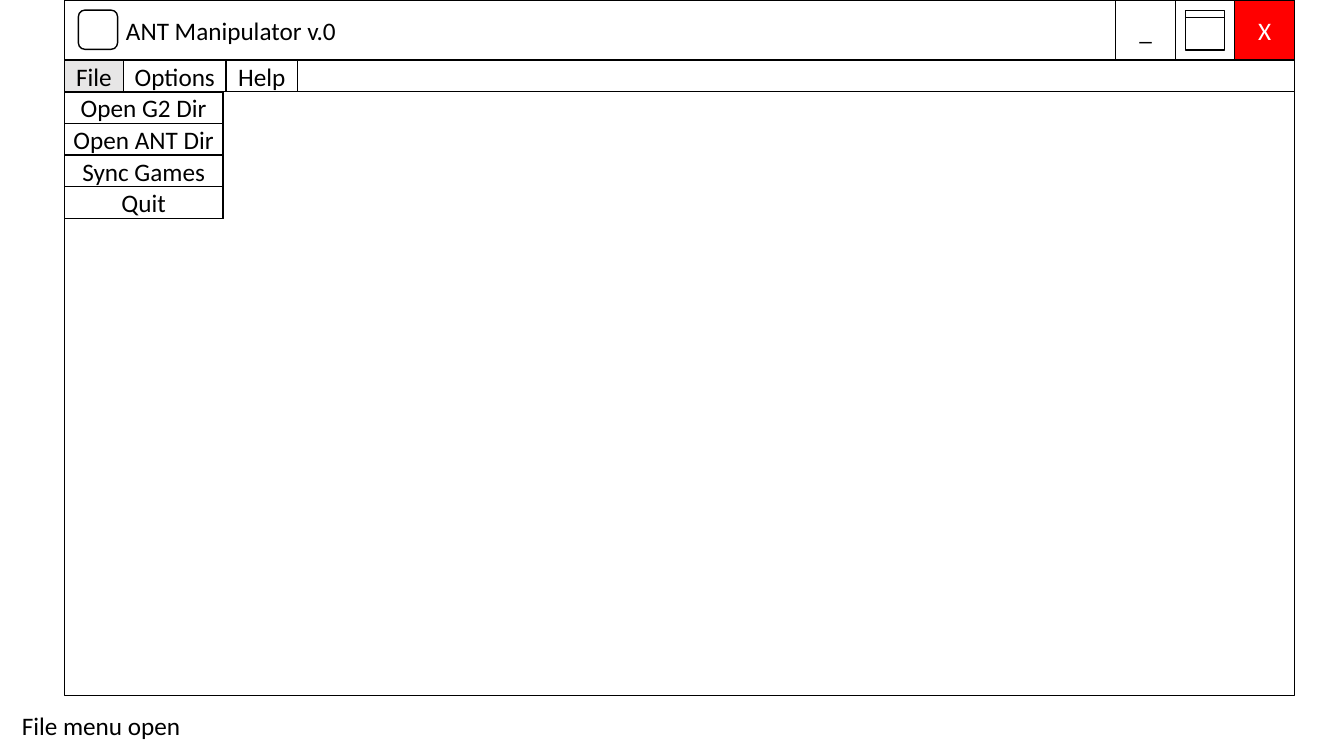
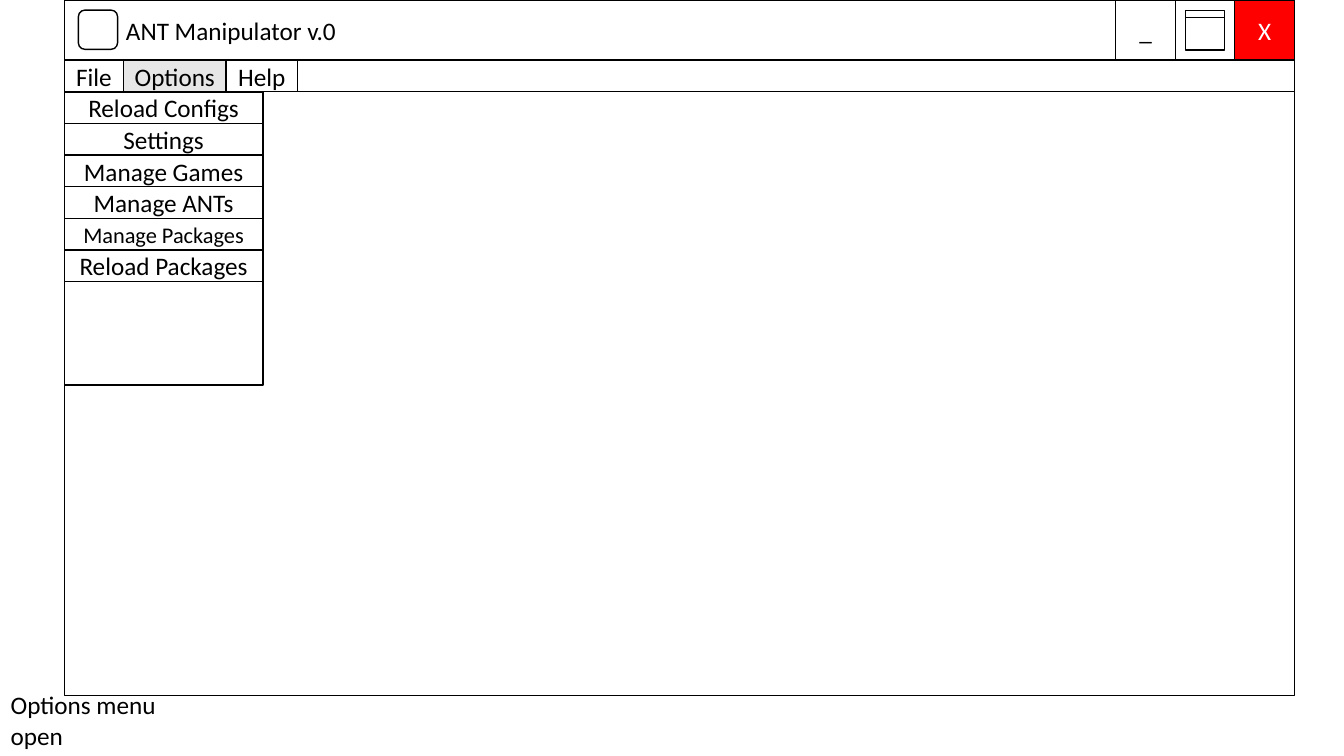
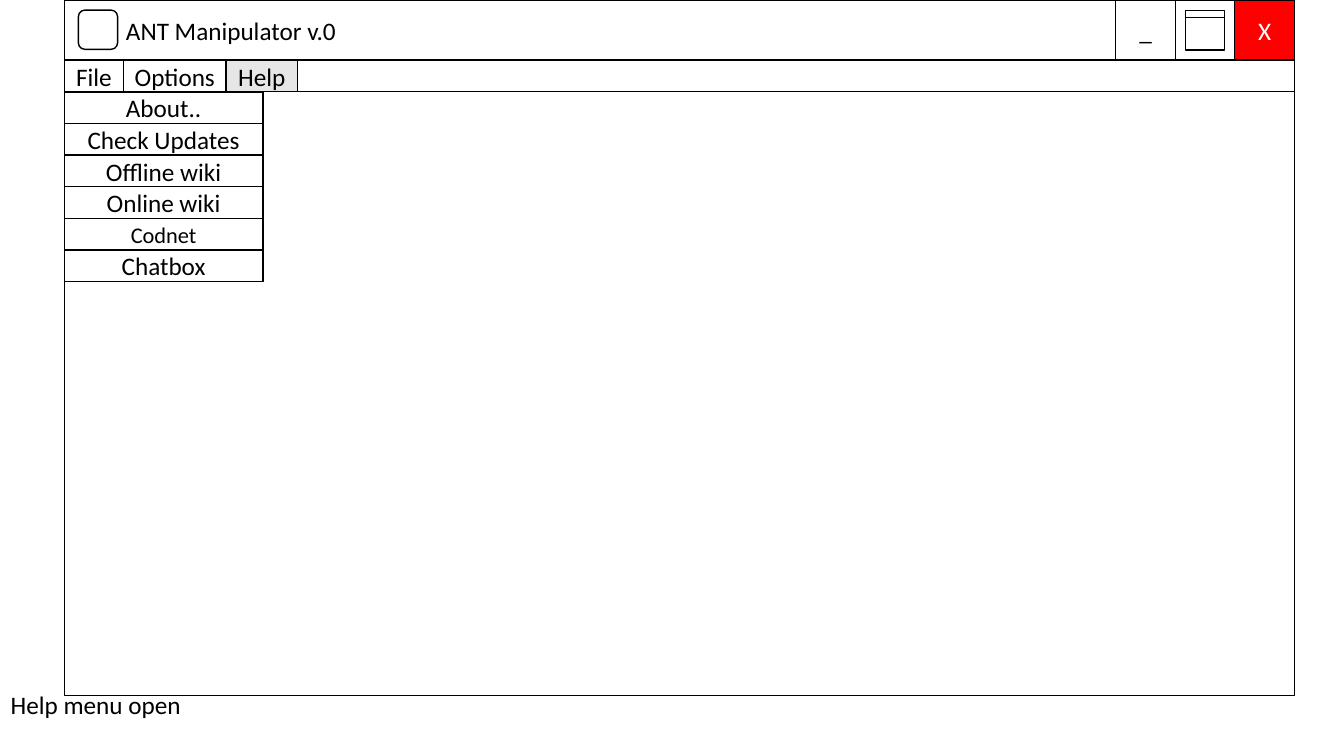
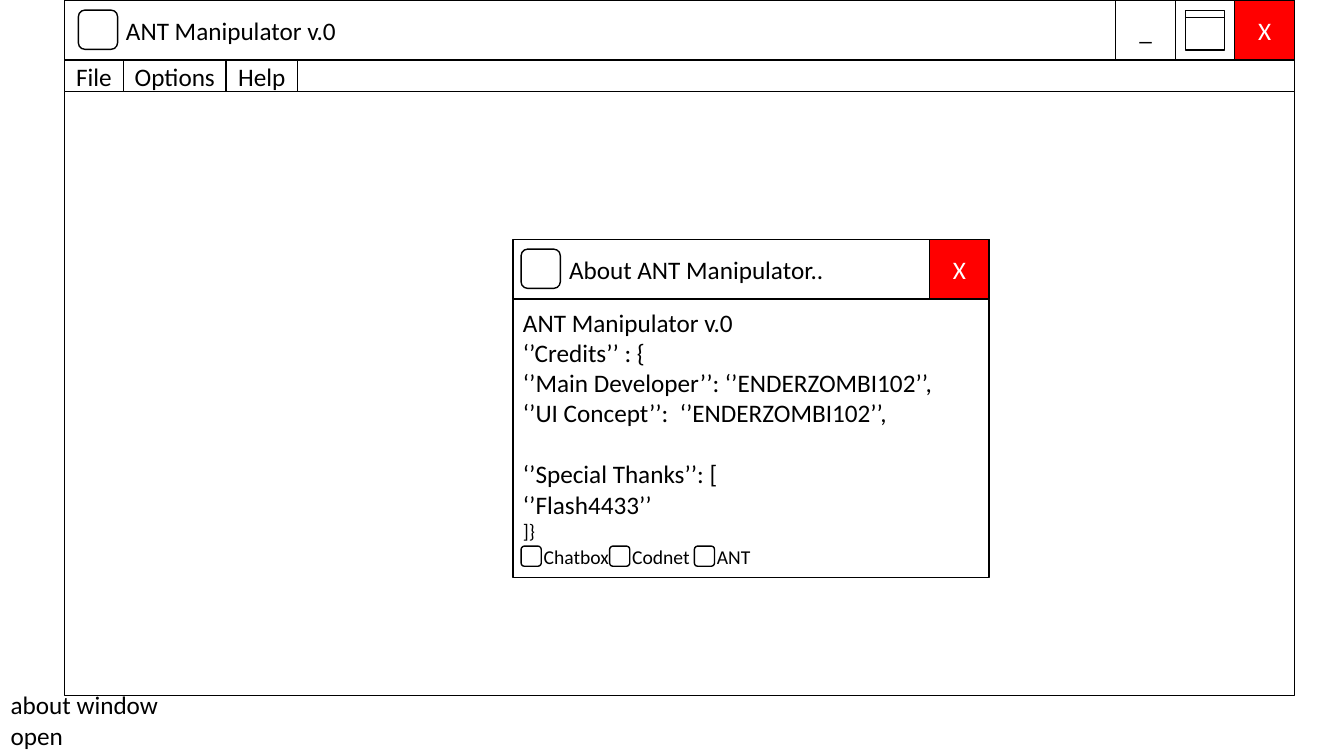
from lxml.etree import SubElement
from pptx import Presentation
from pptx.dml.color import RGBColor as RGB
from pptx.enum.shapes import MSO_CONNECTOR as LINK, MSO_SHAPE as KIND
from pptx.enum.text import MSO_ANCHOR as ANCHOR, PP_ALIGN as ALIGN
from pptx.oxml.ns import qn
from pptx.util import Pt

BLACK = RGB(0x00, 0x00, 0x00)
WHITE = RGB(0xFF, 0xFF, 0xFF)
GREY = RGB(0xE7, 0xE6, 0xE6)
RED = RGB(0xFF, 0x00, 0x00)
FONT = "Calibri"

FRAME = (46, 0.5, 878.5, 496.5)
BAR = 42.5   # title bar height, also the width of its buttons
ICON = 28
ROW = 22.6   # height of menu items
MENUS = (("File", 42.3), ("Options", 73.2), ("Help", 51))


def style(par, size=18, color=BLACK, align=ALIGN.LEFT):
    par.alignment = align
    par.font.name = FONT
    par.font.size = Pt(size)
    par.font.color.rgb = color


def rect(slide, x, y, w, h, fill=WHITE, kind=KIND.RECTANGLE):
    shape = slide.shapes.add_shape(kind, Pt(x), Pt(y), Pt(w), Pt(h))
    shape.shadow.inherit = False
    shape.fill.solid()
    shape.fill.fore_color.rgb = fill
    shape.line.color.rgb = BLACK
    shape.line.width = Pt(1)
    return shape


def cell(slide, x, y, w, h, text, fill=WHITE, color=BLACK, size=18):
    """Box with one centred line of text."""
    frame = rect(slide, x, y, w, h, fill).text_frame
    frame.margin_left = frame.margin_right = 0
    frame.vertical_anchor = ANCHOR.MIDDLE
    frame.text = text
    style(frame.paragraphs[0], size, color, ALIGN.CENTER)


def label(slide, x, y, w, h, text, size=18):
    frame = slide.shapes.add_textbox(Pt(x), Pt(y), Pt(w), Pt(h)).text_frame
    frame.word_wrap = True
    frame.text = text
    style(frame.paragraphs[0], size)
    return frame


def title_bar(slide, x, y, w, title, indent, pad):
    """Bar with an icon, a title and a close button."""
    frame = rect(slide, x, y, w, BAR).text_frame
    frame.margin_left = Pt(indent)
    frame.vertical_anchor = ANCHOR.MIDDLE
    frame.text = title
    style(frame.paragraphs[0])
    rect(slide, x + pad, y + (BAR - ICON) / 2 - 0.5, ICON, ICON,
         kind=KIND.ROUNDED_RECTANGLE)
    cell(slide, x + w - BAR, y, BAR, BAR, "X", RED, WHITE)


def size_buttons(slide, right, y):
    """Minimise and maximise buttons, ending at the given right edge."""
    cell(slide, right - 2 * BAR, y, BAR, BAR, "_")
    rect(slide, right - BAR, y, BAR, BAR)
    x, top = right - BAR + 7.2, y + 7.2
    rect(slide, x, top, ICON, ICON)
    line = slide.shapes.add_connector(
        LINK.STRAIGHT, Pt(x), Pt(top + 4.5), Pt(x + ICON), Pt(top + 4.5))
    line.line.color.rgb = BLACK
    line.line.width = Pt(0.5)
    SubElement(line._element.spPr, qn("a:effectLst"))


def menu_bar(slide, x, y, w, active):
    rect(slide, x, y, w, ROW)
    for name, width in MENUS:
        cell(slide, x, y, width, ROW, name, GREY if name == active else WHITE)
        x += width


def window(slide, box, active=None):
    """Main window; returns the left and top of its content."""
    x, y, w, h = box
    rect(slide, x, y + BAR, w, h - BAR)
    title_bar(slide, x, y, w, "ANT Manipulator v.0", 44, 10)
    size_buttons(slide, x + w - BAR, y)
    menu_bar(slide, x, y + BAR, w, active)
    return x, y + BAR + ROW


def drop_menu(slide, x, y, w, items, extra=0):
    """Open menu; extra is the empty space below its items."""
    rect(slide, x, y, w, len(items) * ROW + extra)
    for i, (text, size) in enumerate(items):
        cell(slide, x, y + i * ROW, w, ROW, text, size=size)


def about(slide, x, y, w, h):
    """Dialog with credits and a row of links."""
    body = rect(slide, x, y + BAR, w, h - BAR).text_frame
    body.vertical_anchor = ANCHOR.TOP
    body.margin_top = Pt(5.4)
    lines = (
        ("ANT Manipulator v.0", 18, 0),
        ("‘’Credits’’ : {", 18, 0),
        ("‘’Main Developer’’: ‘’ENDERZOMBI102’’,", 18, 0),
        ("‘’UI Concept’’:  ‘’ENDERZOMBI102’’,", 18, 0),
        ("‘’Special Thanks’’: [", 18, 22),
        ("‘’Flash4433’’", 18, 0),
        ("]}", 14, 0),
    )
    body.text = "\n".join(text for text, _, _ in lines)
    for par, (_, size, gap) in zip(body.paragraphs, lines):
        style(par, size)
        par.space_before = Pt(gap)
    title_bar(slide, x, y, w, "About ANT Manipulator..", 40, 5.75)

    # Links
    side, top = 14.4, y + h - 22.4
    for dx, text in ((5.75, "Chatbox"), (69, "Codnet"), (129.5, "ANT")):
        rect(slide, x + dx, top, side, side, kind=KIND.ROUNDED_RECTANGLE)
        frame = label(slide, x + dx + 16, top, 48, side, text, 14)
        frame.word_wrap = False
        frame.margin_left = frame.margin_right = 0
        frame.margin_top = frame.margin_bottom = 0
        frame.vertical_anchor = ANCHOR.MIDDLE


def sized(*names, small=None):
    return [(name, 16 if name == small else 18) for name in names]


# Active menu, caption, caption place, menu width, items, empty space
OPEN = (
    ("File", "File menu open", (8.5, 503.5), 113.2,
     sized("Open G2 Dir", "Open ANT Dir", "Sync Games", "Quit"), 0),
    ("Options", "Options menu open", (0.5, 489), 141.8,
     sized("Reload Configs", "Settings", "Manage Games", "Manage ANTs",
           "Manage Packages", "Reload Packages", small="Manage Packages"), 74),
    ("Help", "Help menu open", (0.5, 489), 141.8,
     sized("About..", "Check Updates", "Offline wiki", "Online wiki",
           "Codnet", "Chatbox", small="Codnet"), 0),
)


def main():
    deck = Presentation()
    deck.slide_width, deck.slide_height = Pt(960), Pt(540)
    blank = deck.slide_layouts[6]

    # Slides with an open menu
    for active, note, spot, width, items, extra in OPEN:
        slide = deck.slides.add_slide(blank)
        x, y = window(slide, FRAME, active)
        drop_menu(slide, x, y, width, items, extra)
        label(slide, *spot, 140.4, 29, note)

    # Slide with the about dialog
    slide = deck.slides.add_slide(blank)
    window(slide, FRAME)
    about(slide, 366.5, 171.25, 340, 241.25)
    label(slide, 0.5, 489, 140.4, 51, "about window open")

    deck.save("out.pptx")


if __name__ == "__main__":
    main()
